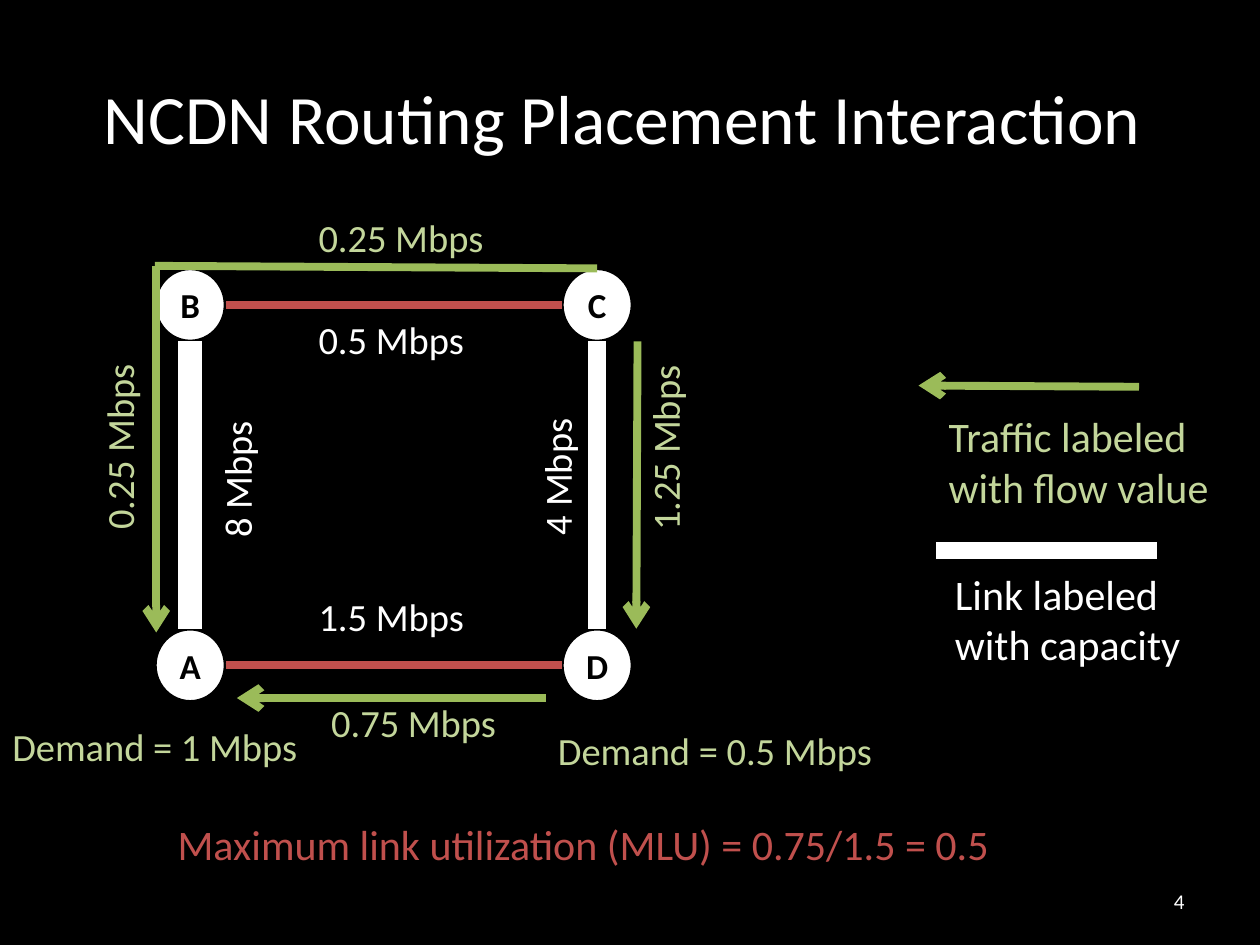
"""Build the NCDN routing and placement interaction slide."""
import pptx
import pptx.dml.color
import pptx.enum.shapes
import pptx.enum.text
import pptx.oxml
import pptx.oxml.ns
import pptx.util

Inches = pptx.util.Inches
Pt = pptx.util.Pt
rgb = pptx.dml.color.RGBColor.from_string
PP_ALIGN = pptx.enum.text.PP_ALIGN
MSO_ANCHOR = pptx.enum.text.MSO_ANCHOR

WHITE, BLACK, RED = "FFFFFF", "000000", "C0504D"
GREEN, PALE_GREEN = "9BBB59", "C3D69B"
LEFT, RIGHT, TOP, BOTTOM = 1.51, 4.74, 2.42, 5.28
NODE_W, NODE_H = 0.56, 0.58
INNER_LEFT, INNER_RIGHT = LEFT + NODE_W / 2, RIGHT - NODE_W / 2
INNER_TOP, INNER_BOTTOM = TOP + NODE_H / 2, BOTTOM - NODE_H / 2


def write(sp, text, size, color, align=PP_ALIGN.LEFT, anchor=MSO_ANCHOR.TOP, bold=False):
    """Put one styled run into a shape."""
    tf = sp.text_frame
    tf.word_wrap = True
    tf.vertical_anchor = anchor
    p = tf.paragraphs[0]
    p.alignment = align
    r = p.add_run()
    r.text = text
    r.font.name = "Calibri"
    r.font.size = Pt(size)
    r.font.bold = bold
    r.font.color.rgb = rgb(color)


def draw_line(start, end, color, width, arrow=False):
    """Draw a straight line, with an arrowhead at its end if wanted."""
    sp = s.shapes.add_connector(
        pptx.enum.shapes.MSO_CONNECTOR.STRAIGHT, *[Inches(v) for v in start + end])
    sp.line.color.rgb = rgb(color)
    sp.line.width = Pt(width)
    if arrow:
        ln = sp.line._get_or_add_ln()
        ln.append(pptx.oxml.parse_xml(
            f'<a:tailEnd {pptx.oxml.ns.nsdecls("a")} type="arrow"/>'))
    sp._element.spPr.append(pptx.oxml.parse_xml(
        f'<a:effectLst {pptx.oxml.ns.nsdecls("a")}/>'))


prs = pptx.Presentation()
prs.slide_width, prs.slide_height = Inches(10), Inches(7.5)
s = prs.slides.add_slide(prs.slide_layouts[6])
s.background.fill.solid()
s.background.fill.fore_color.rgb = rgb(BLACK)

sp = s.shapes.add_textbox(Inches(0.5), Inches(0.3), Inches(9), Inches(1.25))
write(sp, "NCDN Routing Placement Interaction ", 39.6, WHITE,
      PP_ALIGN.CENTER, MSO_ANCHOR.MIDDLE)

for name, x, y in [("B", LEFT, TOP), ("C", RIGHT, TOP),
                   ("A", LEFT, BOTTOM), ("D", RIGHT, BOTTOM)]:
    sp = s.shapes.add_shape(
        pptx.enum.shapes.MSO_SHAPE.OVAL, Inches(x - NODE_W / 2), Inches(y - NODE_H / 2),
        Inches(NODE_W), Inches(NODE_H))
    sp.shadow.inherit = False
    sp.fill.solid()
    sp.fill.fore_color.rgb = rgb(WHITE)
    sp.line.color.rgb = rgb(BLACK)
    sp.line.width = Pt(2)
    sp.text_frame.margin_left = sp.text_frame.margin_right = 0
    write(sp, name, 20, BLACK, PP_ALIGN.CENTER, MSO_ANCHOR.MIDDLE, True)

for x, width in [(LEFT, 14), (RIGHT, 10)]:
    draw_line((x, INNER_TOP), (x, INNER_BOTTOM), WHITE, width)
for y in (TOP, BOTTOM):
    draw_line((INNER_LEFT, y), (INNER_RIGHT, y), WHITE, 3)
    draw_line((INNER_RIGHT, y), (INNER_LEFT, y), RED, 4.5)

for start, end, arrow in [
    ((1.24, 2.11), (1.24, 5.02), True),
    ((5.06, 2.71), (5.05, 4.99), True),
    ((4.74, 2.13), (1.23, 2.11), False),
    ((4.33, 5.54), (1.88, 5.54), True),
    ((9.04, 3.07), (7.29, 3.06), True),
]:
    draw_line(start, end, GREEN, 4.5, arrow)
draw_line((9.18, 4.37), (7.43, 4.37), WHITE, 10)

for text, x, y, w, color, rotation in [
    ("8 Mbps", 1.26, 3.51, 1.24, WHITE, 270),
    ("4 Mbps", 3.8, 3.49, 1.24, WHITE, 270),
    ("0.5 Mbps", 2.43, 2.46, 1.44, WHITE, 0),
    ("1.5 Mbps", 2.43, 4.66, 1.44, WHITE, 0),
    ("Demand = 1 Mbps", 0, 5.69, 3, PALE_GREEN, 0),
    ("Demand = 0.5 Mbps", 4.33, 5.72, 3.42, PALE_GREEN, 0),
    ("1.25 Mbps", 4.48, 3.28, 1.59, PALE_GREEN, 270),
    ("0.25 Mbps", 0.03, 3.15, 1.83, PALE_GREEN, 270),
    ("0.25 Mbps", 2.43, 1.65, 1.57, PALE_GREEN, 0),
    ("0.75 Mbps", 2.53, 5.5, 1.81, PALE_GREEN, 0),
]:
    sp = s.shapes.add_textbox(Inches(x), Inches(y), Inches(w), Inches(0.47))
    sp.rotation = rotation
    write(sp, text, 22, color)

for text, x, y, w, color in [
    ("Traffic labeled with flow value", 7.43, 3.21, 2.4, PALE_GREEN),
    ("Link labeled with capacity", 7.48, 4.46, 2.35, WHITE),
]:
    sp = s.shapes.add_textbox(Inches(x), Inches(y), Inches(w), Inches(0.91))
    write(sp, text, 24, color)

sp = s.shapes.add_textbox(Inches(1.1), Inches(6.45), Inches(7.06), Inches(0.5))
write(sp, "Maximum link utilization (MLU) = 0.75/1.5 = 0.5", 24, RED, PP_ALIGN.CENTER)

sp = s.shapes.add_textbox(Inches(7.17), Inches(6.95), Inches(2.33), Inches(0.4))
write(sp, "4", 12, WHITE, PP_ALIGN.RIGHT, MSO_ANCHOR.MIDDLE)

prs.save("out.pptx")
